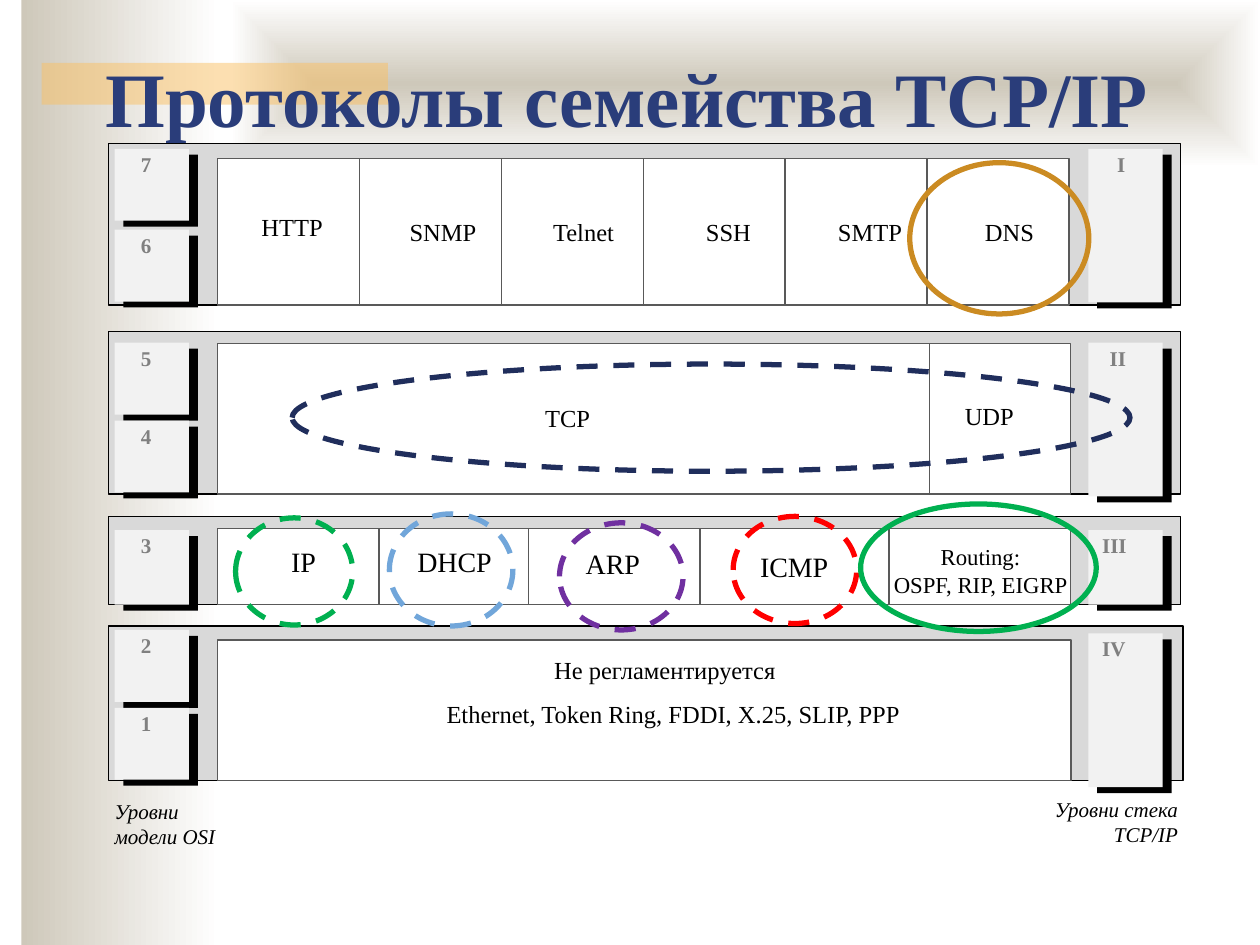
from itertools import accumulate
from lxml import etree
from pptx import Presentation
from pptx.dml.color import RGBColor
from pptx.enum.dml import MSO_LINE
from pptx.enum.shapes import MSO_SHAPE
from pptx.enum.text import PP_ALIGN
from pptx.oxml.ns import qn
from pptx.util import Cm, Pt

BLACK = RGBColor(0x00, 0x00, 0x00)
WHITE = RGBColor(0xFF, 0xFF, 0xFF)
BAND = RGBColor(0xD9, 0xD9, 0xD9)
PLATE = RGBColor(0xF2, 0xF2, 0xF2)
EDGE = RGBColor(0x59, 0x59, 0x59)
GREY = RGBColor(0x80, 0x80, 0x80)
SAND = RGBColor(0xCE, 0xC8, 0xBA)
AMBER = RGBColor(0xFA, 0xC1, 0x64)
TITLE = RGBColor(0x2A, 0x3D, 0x7A)
GREEN = RGBColor(0x00, 0xB0, 0x50)
BLUE = RGBColor(0x71, 0xA6, 0xDA)
VIOLET = RGBColor(0x70, 0x30, 0xA0)
NAVY = RGBColor(0x20, 0x2E, 0x5C)
RED = RGBColor(0xFF, 0x00, 0x00)
GOLD = RGBColor(0xCB, 0x8B, 0x22)

LEFT, CENTER, RIGHT = PP_ALIGN.LEFT, PP_ALIGN.CENTER, PP_ALIGN.RIGHT
BASE = {"name": "Times New Roman", "size": Pt(14), "bold": False, "italic": False}
SIDE = 1.5      # plate width
CELLS = 2.21    # first cell, from the band's left edge

# Each band: box, left plates (number, top), right plate (number, top, text indent),
# plate heights, cell top, cell widths, text size, labels (text, x, y, width, alignment)
BANDS = [
    {"box": (2.18, 2.9, 21.62, 3.25), "osi": [("7", 0.1), ("6", 1.73)],
     "stack": ("I", 0.1, 0.58), "tall": (1.45, 3.1), "top": 0.3,
     "cells": [2.86] * 6, "size": 14,
     "labels": [("HTTP", 2.54, 1.37, 2.34, CENTER), ("SNMP", 5.66, 1.47, 2.18, CENTER),
                ("Telnet", 8.81, 1.47, 1.55, CENTER), ("SSH", 11.58, 1.47, 1.85, CENTER),
                ("SMTP", 14.33, 1.47, 2.06, CENTER), ("DNS", 17.22, 1.47, 1.9, CENTER)]},
    {"box": (2.18, 6.68, 21.62, 3.28), "osi": [("5", 0.23), ("4", 1.8)],
     "stack": ("II", 0.23, 0.43), "tall": (1.45, 3.1), "top": 0.25,
     "cells": [14.35, 2.84], "size": 14,
     "labels": [("TCP", 8.81, 1.45, 1.6, LEFT), ("UDP", 17.27, 1.4, 1.85, LEFT)]},
    {"box": (2.18, 10.41, 21.62, 1.78), "osi": [("3", 0.28)],
     "stack": ("III", 0.28, 0.28), "tall": (1.5, 1.5), "top": 0.25,
     "cells": [3.25, 3.02, 3.45, 3.81, 3.66], "size": 16,
     "labels": [("IP", 3.38, 0.56, 1.12, CENTER), ("DHCP", 6.2, 0.56, 1.57, CENTER),
                ("ARP", 9.12, 0.61, 2.11, CENTER), ("ICMP", 12.8, 0.66, 2.06, CENTER)]},
    {"box": (2.18, 12.62, 21.67, 3.12), "osi": [("2", 0.08), ("1", 1.65)],
     "stack": ("IV", 0.15, 0.28), "tall": (1.45, 3.1), "top": 0.28,
     "cells": [17.2], "size": 14,
     "labels": [("Не регламентируется", 7.95, 0.58, 6.55, CENTER),
                ("Ethernet, Token Ring, FDDI, X.25, SLIP, PPP", 4.78, 1.47, 13.23, CENTER)]},
]
RINGS = [
    ((4.75, 10.44, 2.36, 2.16), GREEN, True),
    ((7.85, 10.36, 2.49, 2.26), BLUE, True),
    ((11.28, 10.54, 2.49, 2.16), VIOLET, True),
    ((5.89, 7.34, 16.89, 2.16), NAVY, True),
    ((14.78, 10.41, 2.49, 2.16), RED, True),
    ((18.34, 3.28, 3.61, 3.05), GOLD, False),
    ((17.35, 10.16, 4.75, 2.57), GREEN, False),
]


def shape(slide, box, fill=None, line=None, width=0.65, kind=MSO_SHAPE.RECTANGLE):
    form = slide.shapes.add_shape(kind, *map(Cm, box))
    form.shadow.inherit = False
    if fill is None:
        form.fill.background()
    else:
        form.fill.solid()
        form.fill.fore_color.rgb = fill
    if line is None:
        form.line.fill.background()
    else:
        form.line.color.rgb = line
        form.line.width = Pt(width)
    return form


def text(slide, box, lines, align=LEFT, color=BLACK, **style):
    frame = slide.shapes.add_textbox(*map(Cm, box)).text_frame
    frame.word_wrap = True
    for side in ("left", "top", "right", "bottom"):
        setattr(frame, f"margin_{side}", 0)
    for i, words in enumerate(lines):
        para = frame.paragraphs[0] if i == 0 else frame.add_paragraph()
        para.alignment = align
        run = para.add_run()
        run.text = words
        run.font.color.rgb = color
        for key, value in {**BASE, **style}.items():
            setattr(run.font, key, value)


def fade(form):
    """Fill from sand to white, left to right."""
    form.fill.gradient()
    form.fill.gradient_angle = 0
    for stop, color in zip(form.fill.gradient_stops, (SAND, WHITE)):
        stop.color.rgb = color


def backdrop(slide, wide, high):
    fade(shape(slide, (0.43, 0, 4.01, high)))

    glow = shape(slide, (4.65, 0, wide - 4.65, 3.38))
    fade(glow)
    grad = glow.element.spPr.find(qn("a:gradFill"))
    grad.remove(grad.find(qn("a:lin")))
    route = etree.SubElement(grad, qn("a:path"), {"path": "shape"})
    etree.SubElement(route, qn("a:fillToRect"), dict.fromkeys("ltrb", "50000"))

    bar = shape(slide, (0.84, 1.27, 6.98, 0.84), AMBER)
    tint = bar.element.spPr.find(qn("a:solidFill"))[0]
    etree.SubElement(tint, qn("a:alpha"), val="50000")


def plate(slide, box, mark, indent):
    """Numbered plate with a hard black shadow."""
    x, y, w, h = box
    shape(slide, (x + 0.18, y + 0.12, w, h), BLACK)
    shape(slide, box, PLATE)
    text(slide, (x + indent, y + 0.05, 1.05, 1), [mark],
         color=GREY, size=Pt(12), bold=True)


def band(slide, box, osi, stack, tall, top, cells, size, labels):
    x, y, w, h = box
    shape(slide, box, BAND, BLACK)
    for mark, drop in osi:
        plate(slide, (x + 0.13, y + drop, SIDE, tall[0]), mark, 0.53)
    mark, drop, indent = stack
    plate(slide, (x + 19.76, y + drop, SIDE, tall[1]), mark, indent)
    for start, wide in zip(accumulate(cells, initial=CELLS), cells):
        shape(slide, (x + start, y + top, wide, h - top), WHITE, EDGE, 0.85)
    for words, dx, dy, wide, align in labels:
        text(slide, (x + dx, y + dy, wide, 0.75), [words], align, size=Pt(size))


def ring(slide, box, color, dashed):
    form = shape(slide, box, None, color, 3, MSO_SHAPE.OVAL)
    if dashed:
        form.line.dash_style = MSO_LINE.DASH


def main():
    deck = Presentation()
    deck.slide_width, deck.slide_height = Cm(25.4), Cm(19.05)
    slide = deck.slides.add_slide(deck.slide_layouts[6])
    backdrop(slide, 25.4, 19.05)
    text(slide, (0.3, 1.02, 24.69, 2.5), ["Протоколы семейства TCP/IP"],
         CENTER, TITLE, size=Pt(44), bold=True)
    for part in BANDS:
        band(slide, **part)
    text(slide, (17.86, 10.95, 3.81, 1.04), ["Routing:", "OSPF, RIP, EIGRP"],
         CENTER, size=Pt(13))
    text(slide, (2.31, 16.1, 2.44, 0.79), ["Уровни модели OSI"],
         size=Pt(12), italic=True)
    text(slide, (20.83, 16.05, 2.92, 0.79), ["Уровни стека TCP/IP"],
         RIGHT, size=Pt(12), italic=True)
    for box, color, dashed in RINGS:
        ring(slide, box, color, dashed)
    deck.save("out.pptx")


if __name__ == "__main__":
    main()
